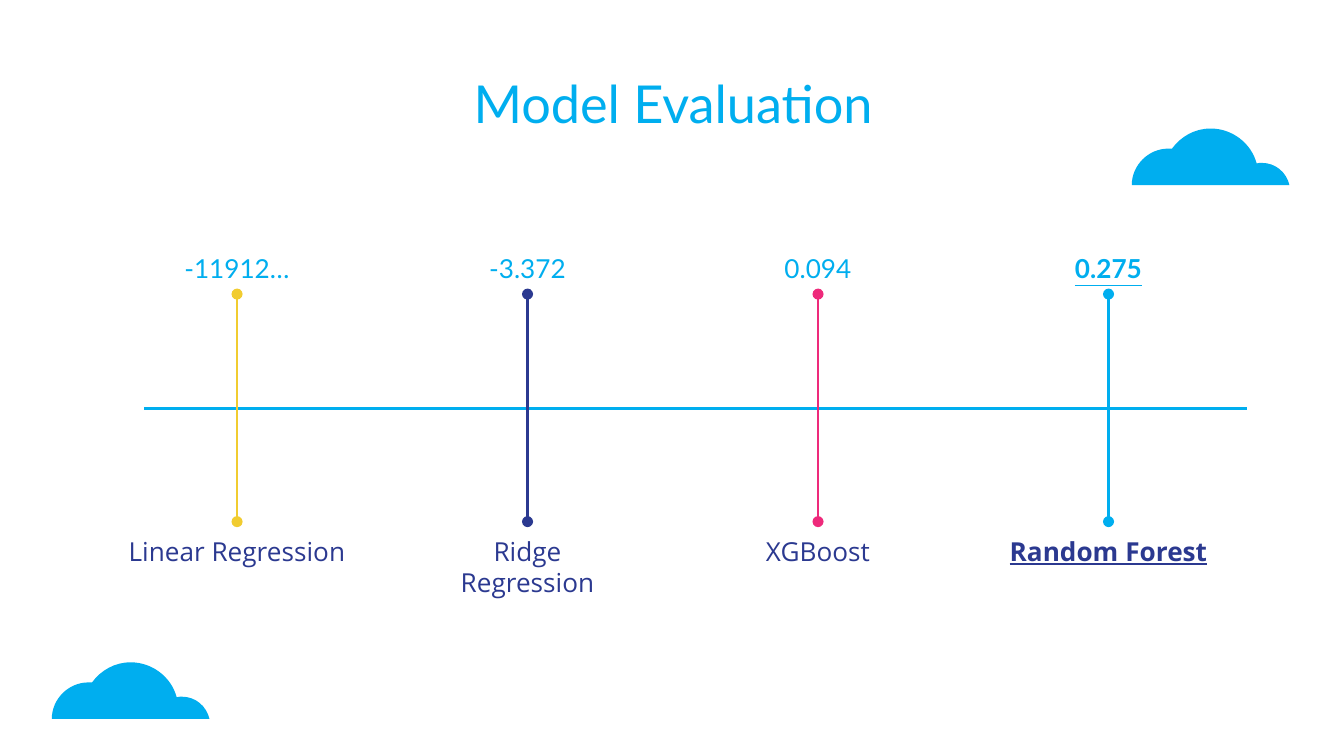
"""Builds a slide comparing the scores of four regression models."""
from lxml.etree import SubElement
from pptx import Presentation
from pptx.dml.color import RGBColor
from pptx.enum.shapes import MSO_CONNECTOR
from pptx.enum.text import MSO_ANCHOR, PP_ALIGN
from pptx.oxml.ns import qn
from pptx.util import Cm, Pt

SKY, NAVY, YELLOW, PINK = "00AEEF", "2B3990", "F1CC30", "EE2A7B"


def style_text(frame, font_name, size, color, margin, anchor, strong=False):
    frame.word_wrap = True
    frame.vertical_anchor = anchor
    frame.margin_left = frame.margin_right = Cm(margin)
    frame.margin_top = frame.margin_bottom = Cm(margin)
    for paragraph in frame.paragraphs:
        paragraph.alignment = PP_ALIGN.CENTER
        for run in paragraph.runs:
            run.font.name = font_name
            run.font.size = Pt(size)
            run.font.color.rgb = RGBColor.from_string(color)
            if strong:
                run.font.bold = run.font.underline = True


def add_line(shapes, x1, y1, x2, y2, color, dotted_ends=False):
    line = shapes.add_connector(MSO_CONNECTOR.STRAIGHT, Cm(x1), Cm(y1), Cm(x2), Cm(y2))
    line.line.color.rgb = RGBColor.from_string(color)
    line.line.width = Pt(1.5)
    if dotted_ends:
        outline = line.line._get_or_add_ln()
        for end in ("a:headEnd", "a:tailEnd"):
            SubElement(outline, qn(end), type="oval", w="med", len="med")
    SubElement(line._element.spPr, qn("a:effectLst"))


deck = Presentation()
deck.slide_width, deck.slide_height = Cm(25.4), Cm(14.29)
slide = deck.slides.add_slide(deck.slide_layouts[5])
shapes = slide.shapes

title = shapes.title
title.left, title.top, title.width, title.height = Cm(2.02), Cm(1.32), Cm(21.4), Cm(1.25)
title.text_frame.text = "Model Evaluation"
style_text(title.text_frame, "Lato", 28, SKY, 0.25, MSO_ANCHOR.MIDDLE)

add_line(shapes, 2.73, 7.72, 23.57, 7.72, SKY)

models = [
    ("Linear Regression", "-11912…", YELLOW),
    ("Ridge\nRegression", "-3.372", NAVY),
    ("XGBoost", "0.094", PINK),
    ("Random Forest", "0.275", SKY),
]
first_x, step = 4.48, 5.49
stem_top, stem_bottom = 5.56, 9.86
score_width, score_height = 3.25, 1
model_width, model_height = 5.13, 1.47

for index, (model, score, color) in enumerate(models):
    x = first_x + index * step
    best = model == "Random Forest"
    add_line(shapes, x, stem_top, x, stem_bottom, color, dotted_ends=True)

    score_label = shapes.add_textbox(Cm(x - score_width / 2), Cm(stem_top - score_height),
                                     Cm(score_width), Cm(score_height))
    score_label.text_frame.text = score
    style_text(score_label.text_frame, "Lato", 14, SKY, 0, MSO_ANCHOR.MIDDLE, best)
    score_label.text_frame.margin_top = Cm(0.03)

    model_label = shapes.add_textbox(Cm(x - model_width / 2), Cm(stem_bottom),
                                     Cm(model_width), Cm(model_height))
    model_label.text_frame.text = model
    style_text(model_label.text_frame, "Open Sans", 14, NAVY, 0.25, MSO_ANCHOR.TOP, best)
    model_label.text_frame.margin_top = Cm(0.26)

cloud_start = (1.49, 0)
cloud_segments = [
    [(1.19, 0), (0.93, 0.15), (0.76, 0.38)],
    [(0.73, 0.38), (0.71, 0.38), (0.69, 0.38)],
    [(0.32, 0.38), (0, 0.69), (0, 1.07)],
    [(2.98, 1.07)],
    [(2.92, 0.82), (2.71, 0.65), (2.46, 0.65)],
    [(2.42, 0.65), (2.39, 0.65), (2.36, 0.66)],
    [(2.26, 0.28), (1.9, 0), (1.49, 0)],
]

for left, top in [(21.39, 2.43), (0.98, 12.52)]:
    builder = shapes.build_freeform(Cm(left + cloud_start[0]), Cm(top + cloud_start[1]))
    builder.add_line_segments(
        [(Cm(left + segment[-1][0]), Cm(top + segment[-1][1])) for segment in cloud_segments])
    cloud = builder.convert_to_shape()
    for edge, segment in zip(list(cloud._element.iter(qn("a:lnTo"))), cloud_segments):
        if len(segment) == 3:
            edge.tag = qn("a:cubicBezTo")
            edge.clear()
            for x, y in segment:
                SubElement(edge, qn("a:pt"), x=str(Cm(x)), y=str(Cm(y)))
    SubElement(next(cloud._element.iter(qn("a:pathLst")))[0], qn("a:close"))
    cloud.shadow.inherit = False
    cloud.fill.solid()
    cloud.fill.fore_color.rgb = RGBColor.from_string(SKY)
    cloud.line.fill.background()

deck.save("out.pptx")
